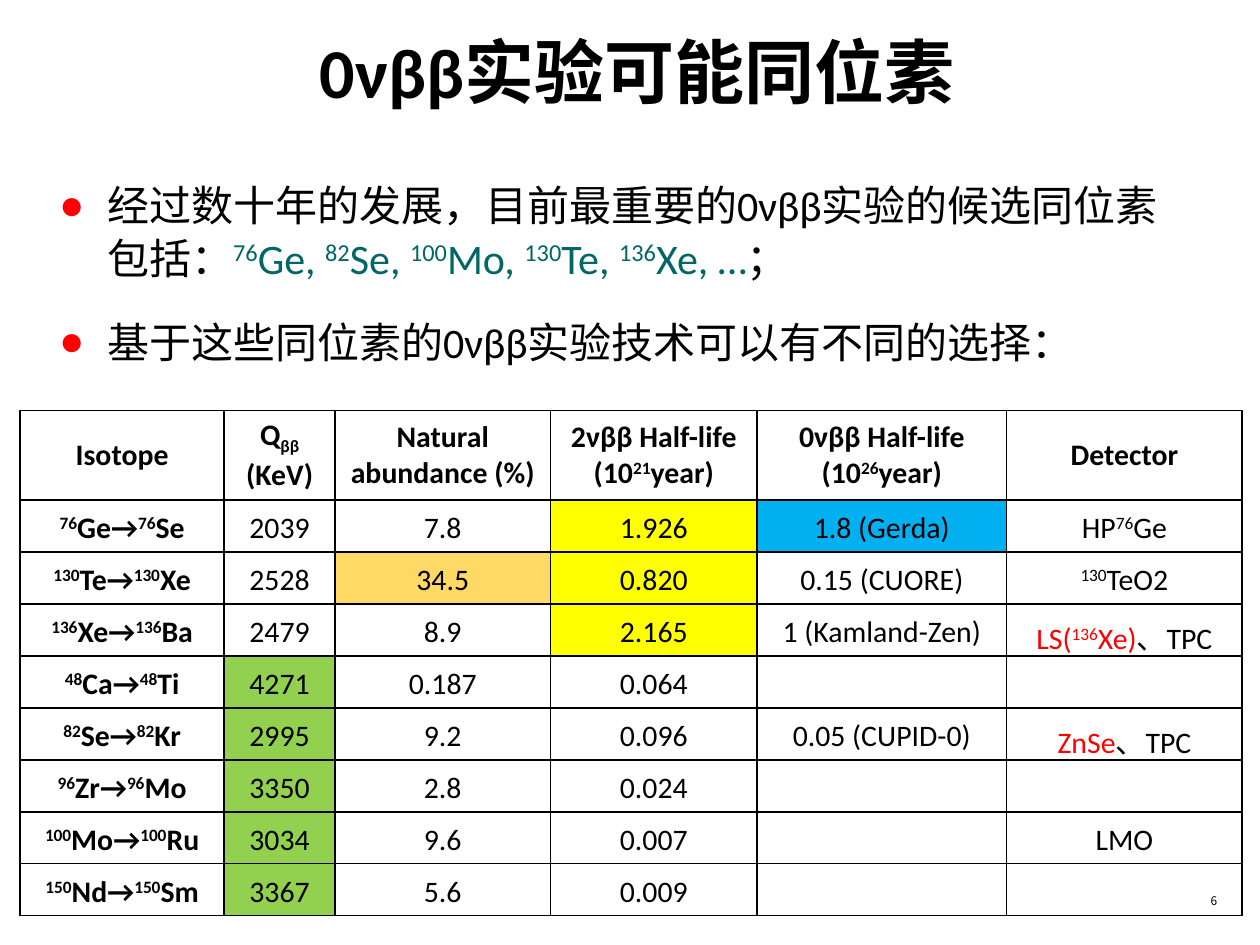
from lxml import etree
from pptx import Presentation
from pptx.dml.color import RGBColor
from pptx.enum import text as txt
from pptx.oxml import parse_xml
from pptx.oxml.ns import nsdecls, qn
from pptx.util import Inches, Pt

BLACK = RGBColor(0x00, 0x00, 0x00)
RED = RGBColor(0xFF, 0x00, 0x00)
TEAL = RGBColor(0x00, 0x66, 0x66)
YELLOW = RGBColor(0xFF, 0xFF, 0x00)
BLUE = RGBColor(0x00, 0xB0, 0xF0)
AMBER = RGBColor(0xFF, 0xD9, 0x66)
GREEN = RGBColor(0x92, 0xD0, 0x50)
CJK = "Noto Sans CJK SC"
BASELINES = {"^": "30000", "_": "-25000"}


def write(paragraph, text, size=17, bold=False, color=BLACK, font="Calibri"):
    """Append runs split at "|"; a leading ^ raises a run and _ lowers it."""
    for part in text.split("|"):
        run = paragraph.add_run()
        run.text = part.lstrip("^_")
        run.font.size = Pt(size)
        run.font.bold = bold
        run.font.color.rgb = color
        run.font.name = font
        properties = run._r.get_or_add_rPr()
        etree.SubElement(properties, qn("a:ea")).set("typeface", CJK)
        if part[:1] in BASELINES:
            properties.set("baseline", BASELINES[part[0]])


def place(shape, left, top, width, height):
    shape.left, shape.top = Inches(left), Inches(top)
    shape.width, shape.height = Inches(width), Inches(height)


prs = Presentation()
prs.slide_width, prs.slide_height = Inches(10), Inches(7.5)
slide = prs.slides.add_slide(prs.slide_layouts[1])

# Title
title = slide.shapes.title
place(title, 0.35, 0.26, 9.41, 0.68)
title.text_frame.vertical_anchor = txt.MSO_ANCHOR.MIDDLE
title.text_frame.auto_size = txt.MSO_AUTO_SIZE.NONE
heading = title.text_frame.paragraphs[0]
heading.alignment = txt.PP_ALIGN.CENTER
heading.line_spacing = 0.9
write(heading, "0νββ实验可能同位素", size=40, bold=True)

# Bulleted list
body = slide.placeholders[1]
place(body, 0.37, 1.36, 8.98, 1.59)
body.text_frame.auto_size = txt.MSO_AUTO_SIZE.SHAPE_TO_FIT_TEXT
points = [
    [("经过数十年的发展，目前最重要的0νββ实验的候选同位素包括：", BLACK),
     ("^76|Ge, |^82|Se, |^100|Mo, |^130|Te, |^136|Xe, …", TEAL),
     ("；", BLACK)],
    [("基于这些同位素的0νββ实验技术可以有不同的选择：", BLACK)],
]
for i, pieces in enumerate(points):
    point = body.text_frame.add_paragraph() if i else body.text_frame.paragraphs[0]
    properties = point._p.get_or_add_pPr()
    properties.set("marL", str(Inches(0.38)))
    properties.set("indent", str(-Inches(0.38)))
    properties.append(parse_xml(
        f'<a:buClr {nsdecls("a")}><a:srgbClr val="{RED}"/></a:buClr>'))
    properties.append(parse_xml(f'<a:buChar {nsdecls("a")} char="●"/>'))
    point.line_spacing = Pt(30)
    point.space_before = Pt(12 if i else 0)
    point.space_after = Pt(6)
    for piece, color in pieces:
        write(point, piece, size=24, color=color)

# Isotope table
rows = [
    ["Isotope", "Q|_ββ\n(KeV)", "Natural\nabundance (%)",
     "2νββ Half-life\n(10|^21|year)", "0νββ Half-life\n(10|^26|year)", "Detector"],
    ["^76|Ge→|^76|Se", "2039", "7.8", "1.926", "1.8 (Gerda)", "HP|^76|Ge"],
    ["^130|Te→|^130|Xe", "2528", "34.5", "0.820", "0.15 (CUORE)", "^130|TeO2"],
    ["^136|Xe→|^136|Ba", "2479", "8.9", "2.165", "1 (Kamland-Zen)", "LS(|^136|Xe)、TPC"],
    ["^48|Ca→|^48|Ti", "4271", "0.187", "0.064", "", ""],
    ["^82|Se→|^82|Kr", "2995", "9.2", "0.096", "0.05 (CUPID-0)", "ZnSe、TPC"],
    ["^96|Zr→|^96|Mo", "3350", "2.8", "0.024", "", ""],
    ["^100|Mo→|^100|Ru", "3034", "9.6", "0.007", "", "LMO"],
    ["^150|Nd→|^150|Sm", "3367", "5.6", "0.009", "", ""],
]
highlights = {(1, 4): BLUE, (2, 2): AMBER}
highlights.update({(r, 3): YELLOW for r in range(1, 4)})
highlights.update({(r, 1): GREEN for r in range(4, 9)})

isotopes = slide.shapes.add_table(
    len(rows), len(rows[0]), Inches(0.16), Inches(3.26), Inches(9.7), Inches(3.99)).table
isotopes.first_row = isotopes.horz_banding = False
for column, width in zip(isotopes.columns, [1.62, 0.88, 1.71, 1.64, 1.98, 1.87]):
    column.width = Inches(width)
for r, values in enumerate(rows):
    isotopes.rows[r].height = Inches(0.41 if r else 0.71)
    for c, value in enumerate(values):
        cell = isotopes.cell(r, c)
        cell.vertical_anchor = txt.MSO_ANCHOR.MIDDLE
        for side in ("lnL", "lnR", "lnT", "lnB"):
            cell._tc.get_or_add_tcPr().append(parse_xml(
                f'<a:{side} {nsdecls("a")} w="{Pt(1)}"><a:solidFill>'
                f'<a:srgbClr val="{BLACK}"/></a:solidFill></a:{side}>'))
        if (r, c) in highlights:
            cell.fill.solid()
            cell.fill.fore_color.rgb = highlights[r, c]
        else:
            cell.fill.background()
        if not value:
            continue
        for i, line in enumerate(value.split("\n")):
            paragraph = cell.text_frame.add_paragraph() if i else cell.text_frame.paragraphs[0]
            paragraph.alignment = txt.PP_ALIGN.CENTER
            if r:
                paragraph.line_spacing = 1.1
            main, comma, other = line.partition("、")
            write(paragraph, main, bold=r == 0 or c == 0, color=RED if comma else BLACK)
            if comma:
                write(paragraph, comma + other)

# Page number
page = slide.shapes.add_textbox(Inches(7.51), Inches(6.95), Inches(2.25), Inches(0.4))
page.text_frame.word_wrap = True
page.text_frame.vertical_anchor = txt.MSO_ANCHOR.MIDDLE
page.text_frame.paragraphs[0].alignment = txt.PP_ALIGN.RIGHT
write(page.text_frame.paragraphs[0], "6", size=6.8, font=CJK)

prs.save("out.pptx")
